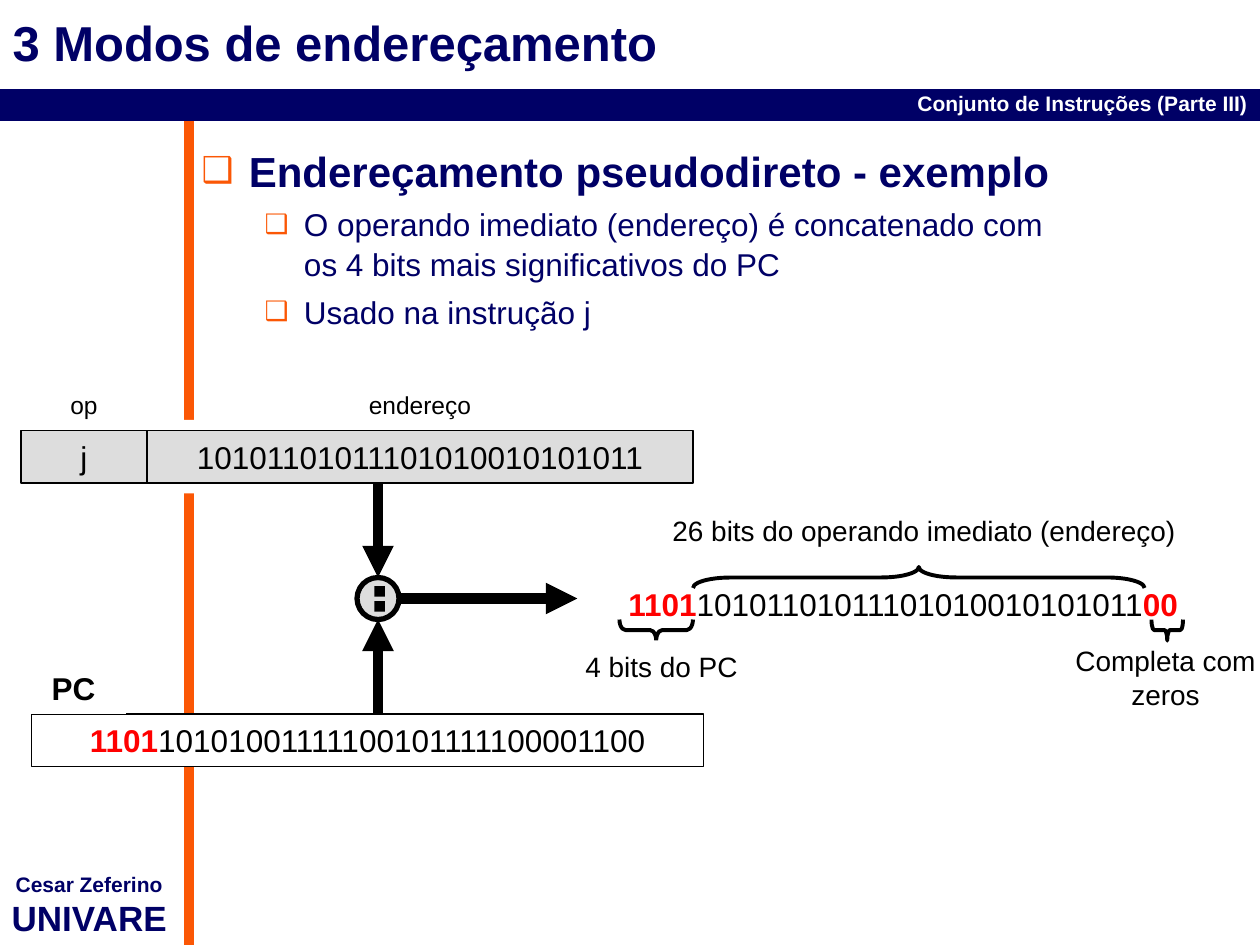
from lxml import etree
from pptx import Presentation
from pptx.dml.color import RGBColor
from pptx.enum.shapes import MSO_CONNECTOR, MSO_SHAPE
from pptx.enum.text import MSO_ANCHOR, MSO_AUTO_SIZE, PP_ALIGN
from pptx.oxml.ns import qn
from pptx.util import Pt

NAVY = RGBColor(0x00, 0x00, 0x66)
ORANGE = RGBColor(0xFB, 0x57, 0x05)
RED = RGBColor(0xFF, 0x00, 0x00)
BLACK = RGBColor(0x00, 0x00, 0x00)
WHITE = RGBColor(0xFF, 0xFF, 0xFF)
GREY = RGBColor(0xDD, 0xDD, 0xDD)
RECT, OVAL, BRACE = MSO_SHAPE.RECTANGLE, MSO_SHAPE.OVAL, MSO_SHAPE.LEFT_BRACE
STRAIGHT = MSO_CONNECTOR.STRAIGHT
LEFT, CENTER, RIGHT = PP_ALIGN.LEFT, PP_ALIGN.CENTER, PP_ALIGN.RIGHT
TOP, MIDDLE = MSO_ANCHOR.TOP, MSO_ANCHOR.MIDDLE
NO_FIT = MSO_AUTO_SIZE.NONE
ROW_H = 30
ADDRESS = "10101101011101010010101011"
PC_HIGH = "1101"


def write(p, text, size=18, color=BLACK, bold=False, align=CENTER):
    """Append text to a paragraph, breaking it at line feeds."""
    p.alignment = align
    for i, part in enumerate(text.split("\n")):
        if i:
            p.add_line_break()
        r = p.add_run()
        r.text = part
        r.font.name, r.font.size, r.font.bold = "Arial", Pt(size), bold
        r.font.color.rgb = color


def place(sp, x, y, w, h):
    """Move and size a shape."""
    sp.left, sp.top, sp.width, sp.height = Pt(x), Pt(y), Pt(w), Pt(h)


def add_shape(shapes, kind, x, y, w, h, fill=None, line=0):
    """Add a flat shape with an optional fill and black outline."""
    sp = shapes.add_shape(kind, Pt(x), Pt(y), Pt(w), Pt(h))
    sp.shadow.inherit = False
    if fill is None:
        sp.fill.background()
    else:
        sp.fill.solid()
        sp.fill.fore_color.rgb = fill
    if line:
        sp.line.color.rgb, sp.line.width = BLACK, Pt(line)
    else:
        sp.line.fill.background()
    return sp


def add_cell(s, x, y, w, runs, fill=None, line=0, size=18):
    """Add a row-high box of centred runs of text, color and bold."""
    sp = add_shape(s.shapes, RECT, x, y, w, ROW_H, fill, line)
    tf = sp.text_frame
    tf.word_wrap, tf.vertical_anchor = False, MIDDLE
    for text, color, bold in runs:
        write(tf.paragraphs[0], text, size=size, color=color, bold=bold)


def add_text(s, x, y, w, h, lines, align, margin=7.2):
    """Add a text box with one bold paragraph per text, size and color."""
    tf = s.shapes.add_textbox(Pt(x), Pt(y), Pt(w), Pt(h)).text_frame
    tf.word_wrap = True
    tf.margin_left = tf.margin_right = Pt(margin)
    for i, (text, size, color) in enumerate(lines):
        p = tf.add_paragraph() if i else tf.paragraphs[0]
        write(p, text, size=size, color=color, bold=True, align=align)


def add_line(s, x1, y1, x2, y2, color=BLACK, width=6, arrow=False):
    """Add a straight line, with an arrowhead at its end if asked."""
    c = s.shapes.add_connector(STRAIGHT, Pt(x1), Pt(y1), Pt(x2), Pt(y2))
    c.line.color.rgb, c.line.width = color, Pt(width)
    if arrow:
        etree.SubElement(c.line._get_or_add_ln(), qn("a:tailEnd"), type="triangle")
    etree.SubElement(c._element.spPr, qn("a:effectLst"))


def add_brace(s, x, y, length, rotation):
    """Add a horizontal brace whose box starts at x, y."""
    depth = 12
    sp = add_shape(s.shapes, BRACE, x + (length - depth) / 2,
                   y - (length - depth) / 2, depth, length, line=2.25)
    sp.rotation = rotation
    sp.adjustments[0] = length / depth / 12


def set_bullet(p, indent, hanging):
    """Give a paragraph an orange box bullet and a hanging indent."""
    pPr = p._p.get_or_add_pPr()
    pPr.set("marL", str(Pt(indent)))
    pPr.set("indent", str(-Pt(hanging)))
    color = etree.SubElement(pPr, qn("a:buClr"))
    etree.SubElement(color, qn("a:srgbClr"), val=str(ORANGE))
    etree.SubElement(pPr, qn("a:buSzPct"), val="85000")
    etree.SubElement(pPr, qn("a:buChar"), char="❑")


def build_frame(s, w, h):
    """Draw the rules, the course name and the author block."""
    add_line(s, 108, 66, 108, h, color=ORANGE)
    add_line(s, 0, 60, w, 60, color=NAVY, width=18)
    add_text(s, 0, 48, w, 18,
             [("Conjunto de Instruções (Parte III)", 12, WHITE)], RIGHT)
    add_text(s, 0, h - 45.5, 102, 46,
             [("Cesar Zeferino", 12, NAVY), ("UNIVARE", 20, NAVY)], CENTER, margin=0)


def build_title(s, x, y, w, h):
    """Fill the title placeholder."""
    place(s.shapes.title, x, y, w, h)
    tf = s.shapes.title.text_frame
    tf.vertical_anchor, tf.auto_size = MIDDLE, NO_FIT
    write(tf.paragraphs[0], "3 Modos de endereçamento",
          size=28, color=NAVY, bold=True, align=LEFT)


def build_body(s, x, y, w, h):
    """Fill the body placeholder with the bulleted list."""
    body = s.placeholders[1]
    place(body, x, y, w, h)
    tf = body.text_frame
    tf.vertical_anchor, tf.auto_size = TOP, NO_FIT
    items = [
        (0, "Endereçamento pseudodireto - exemplo"),
        (1, "O operando imediato (endereço) é concatenado com\n"
            "os 4 bits mais significativos do PC"),
        (1, "Usado na instrução j"),
    ]
    formats = [(24, 24, 27, 27), (18, 4.5, 58.5, 22.5)]
    for i, (level, text) in enumerate(items):
        size, before, indent, hanging = formats[level]
        p = tf.add_paragraph() if i else tf.paragraphs[0]
        p.level, p.space_before, p.line_spacing = level, Pt(before), 1.05
        set_bullet(p, indent, hanging)
        write(p, text, size=size, color=NAVY, bold=level == 0, align=LEFT)


def build_instruction(s, x, y, w):
    """Draw the instruction word with its field names above it."""
    op_w = 72
    add_shape(s.shapes, RECT, x + 60, y - 6, 66, ROW_H + 12, fill=WHITE)
    fields = [(x + op_w, w - op_w, "endereço", ADDRESS), (x, op_w, "op", "j")]
    for left, width, name, value in fields:
        add_cell(s, left, y, width, [(value, BLACK, False)], fill=GREY, line=0.75)
        add_cell(s, left, y - ROW_H, width, [(name, BLACK, False)], size=14)


def build_pc(s, x, y, w):
    """Draw the PC register and its label."""
    bits = [(PC_HIGH, RED, True), ("10101001111100101111100001100", BLACK, False)]
    add_cell(s, x, y, w, bits, fill=WHITE, line=0.75)
    add_cell(s, x - 6, y - ROW_H, 60, [("PC", BLACK, True)], fill=WHITE)


def build_concatenation(s, x, top, bottom, right):
    """Draw the concatenation node and its three arrows around the axis x."""
    radius = 12
    y = (top + bottom) / 2
    add_line(s, x, bottom, x, y + radius, arrow=True)
    add_line(s, x + radius, y, right, y, arrow=True)
    shapes = s.shapes.add_group_shape().shapes
    add_shape(shapes, OVAL, x - radius, y - radius, 2 * radius, 2 * radius,
              fill=GREY, line=3)
    for dy in (-7, 1.5):
        add_shape(shapes, RECT, x - 2, y + dy, 6, 6, fill=BLACK)
    add_line(s, x, top, x, y - radius, arrow=True)


def build_result(s, x, y, w):
    """Draw the resulting address with its braces and labels."""
    bits = [(PC_HIGH, RED, True), (ADDRESS, BLACK, False), ("00", RED, True)]
    add_cell(s, x, y, w, bits, fill=WHITE)
    marks = [
        (24, 24, 42, 270, 18, 36, "4 bits do PC"),
        (328, 24, 18, 270, 306, 42, "Completa com\nzeros"),
        (66, -6, 258, 90, 168, -42, "26 bits do operando imediato (endereço)"),
    ]
    for bx, by, length, rotation, tx, ty, label in marks:
        add_brace(s, x + bx, y + by, length, rotation)
        add_cell(s, x + tx, y + ty, 60, [(label, BLACK, False)], fill=WHITE, size=16)


def main():
    """Build the slide and save it."""
    prs = Presentation()
    prs.slide_width, prs.slide_height = Pt(720), Pt(540)
    s = prs.slides.add_slide(prs.slide_layouts[1])
    build_frame(s, 720, 540)
    build_title(s, 0, 0, 720, 48)
    build_body(s, 108, 78, 612, 462)
    build_instruction(s, 12, 246, 384)
    build_pc(s, 18, 408, 384)
    build_concatenation(s, 216, 276, 408, 330)
    build_result(s, 330, 330, 372)
    prs.save("out.pptx")


if __name__ == "__main__":
    main()
